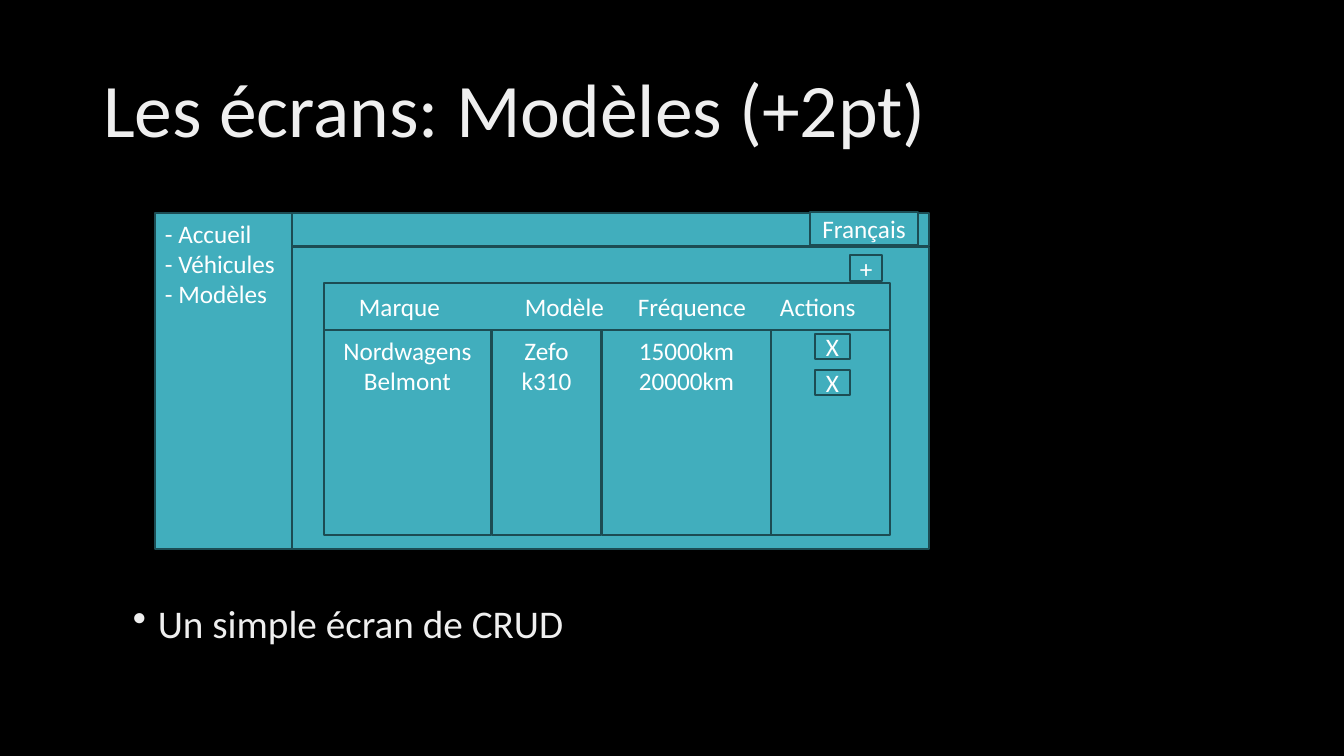
import pptx
import pptx.dml.color
import pptx.enum.shapes
import pptx.enum.text
import pptx.oxml
import pptx.util

RGBColor = pptx.dml.color.RGBColor
BLACK = RGBColor(0x00, 0x00, 0x00)
WHITE = RGBColor(0xFF, 0xFF, 0xFF)
PALE = RGBColor(0xEF, 0xEF, 0xEF)
TEAL = RGBColor(0x41, 0xAE, 0xBD)
DARK_TEAL = RGBColor(0x1C, 0x4C, 0x53)

PX = 914400 / 100.8
LEFT, CENTER = pptx.enum.text.PP_ALIGN.LEFT, pptx.enum.text.PP_ALIGN.CENTER
TOP, MIDDLE = pptx.enum.text.MSO_ANCHOR.TOP, pptx.enum.text.MSO_ANCHOR.MIDDLE


def emu(*lengths):
    """Turn px lengths into EMU."""
    return [round(length * PX) for length in lengths]


def write(shape, text, size, color, align, anchor, line_spacing=1.0):
    frame = shape.text_frame
    frame.text = text
    frame_format = {
        "word_wrap": True,
        "auto_size": pptx.enum.text.MSO_AUTO_SIZE.NONE,
        "vertical_anchor": anchor,
    }
    for name, value in frame_format.items():
        setattr(frame, name, value)
    for paragraph in frame.paragraphs:
        paragraph.alignment = align
        paragraph.line_spacing = line_spacing
        font_format = {"name": "Calibri", "size": pptx.util.Pt(size)}
        for name, value in font_format.items():
            setattr(paragraph.font, name, value)
        paragraph.font.color.rgb = color


presentation = pptx.Presentation()
presentation.slide_width, presentation.slide_height = emu(1344, 756)
slide = presentation.slides.add_slide(presentation.slide_layouts[5])
slide.background.fill.solid()
slide.background.fill.fore_color.rgb = BLACK

title = slide.shapes.title
title.left, title.top, title.width, title.height = emu(93, 40, 1159, 146)
write(title, "Les écrans: Modèles (+2pt)", 54, PALE, LEFT, MIDDLE, 0.9)

# Mock-up of the screen, from back to front: left, top, width, height, text, alignment, anchor
COLUMN_TOP, COLUMN_HEIGHT = 330, 205
panels = [
    (155, 213, 137, 336, "- Accueil\n- Véhicules\n- Modèles", LEFT, TOP),
    (292, 213, 637, 33, "", CENTER, MIDDLE),
    (810, 212, 108, 33, "Français", CENTER, MIDDLE),
    (292, 247, 637, 302, "", CENTER, MIDDLE),
    (850, 255, 32, 26, "+", CENTER, MIDDLE),
]
columns = [
    (324, 167, "Nordwagens\nBelmont"),
    (492, 109, "Zefo\nk310"),
    (602, 169, "15000km\n20000km"),
    (771, 119, ""),
]
for left, width, text in columns:
    panels.append((left, COLUMN_TOP, width, COLUMN_HEIGHT, text, CENTER, TOP))
panels.append((324, 283, 566, 47, "Marque\tModèle\tFréquence\tActions", LEFT, MIDDLE))
for row in range(2):
    panels.append((815, 334 + 36 * row, 35, 25, "X", CENTER, MIDDLE))

for left, top, width, height, text, align, anchor in panels:
    panel = slide.shapes.add_shape(
        pptx.enum.shapes.MSO_SHAPE.RECTANGLE, *emu(left, top, width, height)
    )
    panel.shadow.inherit = False
    panel.fill.solid()
    panel.fill.fore_color.rgb = TEAL
    panel.line.color.rgb = DARK_TEAL
    panel.line.width = pptx.util.Pt(1)
    if text:
        write(panel, text, 18, WHITE, align, anchor)
    if "\t" in text:
        [panel.text_frame.margin_left] = emu(35)
        properties = panel.text_frame.paragraphs[0]._p.get_or_add_pPr()
        tab_list = pptx.oxml.parse_xml(
            '<a:tabLst xmlns:a="http://schemas.openxmlformats.org/drawingml/2006/main"/>'
        )
        for position in emu(166, 279, 421):
            tab = tab_list.makeelement(pptx.oxml.ns.qn("a:tab"), {"pos": str(position), "algn": "l"})
            tab_list.append(tab)
        properties.insert_element_before(tab_list, "a:defRPr", "a:extLst")

remark = slide.shapes.add_textbox(*emu(123, 598, 1128, 56))
write(remark, "Un simple écran de CRUD", 28, PALE, LEFT, MIDDLE, 0.9)
properties = remark.text_frame.paragraphs[0]._p.get_or_add_pPr()
[indent] = emu(25)
properties.set("marL", str(indent))
properties.set("indent", str(-indent))
bullet = properties.makeelement(pptx.oxml.ns.qn("a:buChar"), {"char": "•"})
properties.insert_element_before(bullet, "a:tabLst", "a:defRPr", "a:extLst")

presentation.save("out.pptx")
